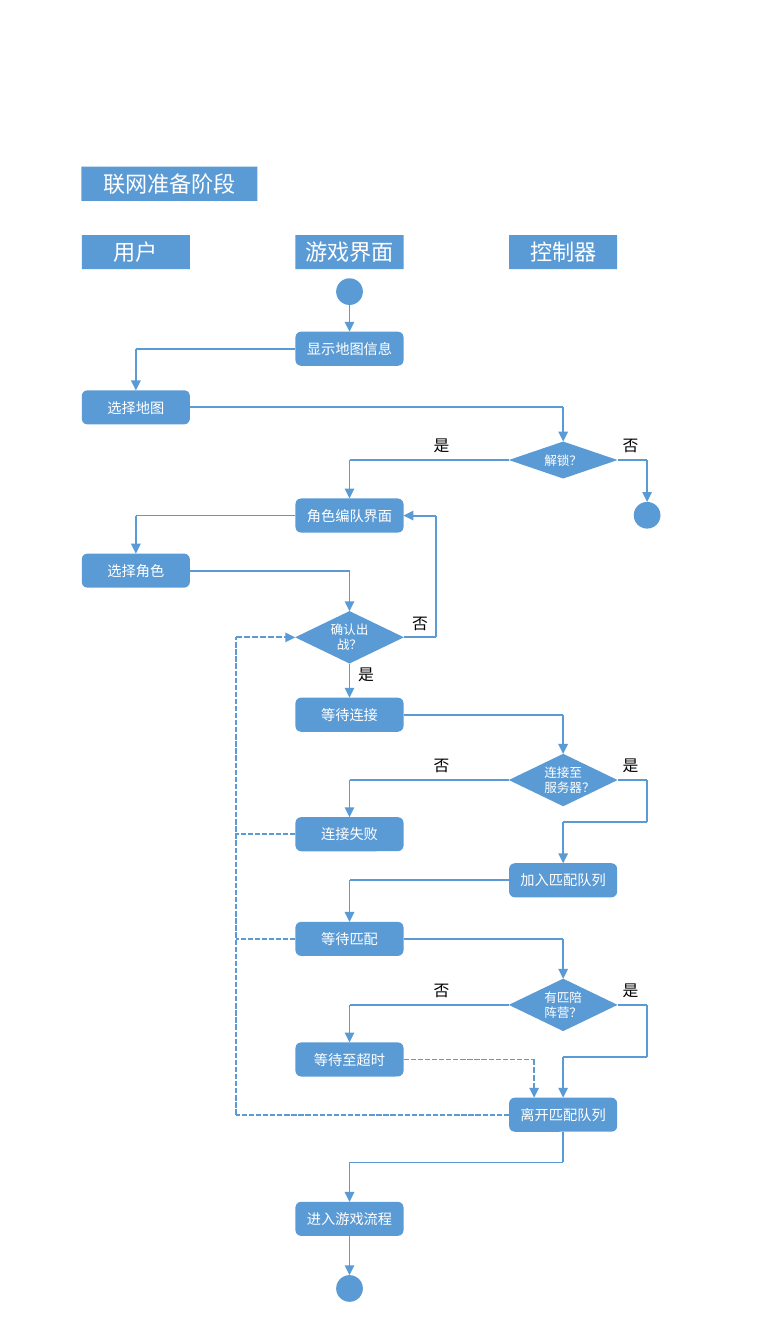
from typing import NamedTuple

from pptx import Presentation
from pptx.dml.color import RGBColor
from pptx.enum.dml import MSO_LINE
from pptx.enum.shapes import MSO_CONNECTOR, MSO_SHAPE
from pptx.enum.text import MSO_ANCHOR, MSO_AUTO_SIZE, PP_ALIGN
from pptx.oxml.ns import qn
from pptx.util import Cm, Pt

COLORS = {"blue": "5B9BD5", "white": "FFFFFF", "black": "000000"}
FONT = "Noto Sans CJK SC"
WIDTH = Pt(960)
HEIGHT = Cm(60)

# Columns and rows are percentages of the slide's width and height.
USER, SCREEN, CONTROLLER = 17.9, 46.05, 74.2
RETURN_COLUMN, LOOP_COLUMN, TIMEOUT_COLUMN, EXIT_COLUMN = 31.13, 57.43, 70.37, 85.26
BOX = (14.25, 2.54)
DOT = (3.53, 1.99)
DECISION_WIDTH, LOW_DECISION, TALL_DECISION = 14.33, 2.75, 3.9
LABEL_SIZE = (3.6, 1.86)
LABEL_RISE = 2

TOP, LEFT, BOTTOM, RIGHT = range(4)


class Port(NamedTuple):
    """The middle of one side of a shape."""
    shape: object
    side: int


def across(share):
    return round(WIDTH * share / 100)


def down(share):
    return round(HEIGHT * share / 100)


def color(name):
    return RGBColor.from_string(COLORS[name])


def write(text_frame, text, size, color_name, align):
    paragraph = text_frame.paragraphs[0]
    paragraph.alignment = align
    run = paragraph.add_run()
    run.text = text
    run.font.size = Pt(size)
    run.font.name = FONT
    run.font.color.rgb = color(color_name)
    properties = run.font._element
    east_asian = properties.makeelement(qn("a:ea"), {"typeface": FONT})
    properties.find(qn("a:latin")).addnext(east_asian)


def add_node(slide, kind, column, row, size, text="", font_size=18):
    """Add a blue shape centred on the given column and row."""
    width, height = size
    shape = slide.shapes.add_shape(
        kind, across(column - width / 2), down(row - height / 2),
        across(width), down(height))
    shape.shadow.inherit = False
    shape.fill.solid()
    shape.fill.fore_color.rgb = color("blue")
    shape.line.fill.background()
    if text:
        shape.text_frame.vertical_anchor = MSO_ANCHOR.MIDDLE
        write(shape.text_frame, text, font_size, "white", PP_ALIGN.CENTER)
    return shape


def add_step(slide, column, row, text):
    return add_node(slide, MSO_SHAPE.ROUNDED_RECTANGLE, column, row, BOX, text)


def add_decision(slide, column, row, text, height=TALL_DECISION):
    return add_node(slide, MSO_SHAPE.FLOWCHART_DECISION, column, row,
                    (DECISION_WIDTH, height), text, 16)


def add_dot(slide, column, row):
    return add_node(slide, MSO_SHAPE.OVAL, column, row, DOT)


def add_title(slide, text):
    title = slide.shapes.title
    title.left, title.top = across(10.73), down(12.4)
    title.width, title.height = across(23.18), down(BOX[1])
    title.fill.solid()
    title.fill.fore_color.rgb = color("blue")
    title.text_frame.auto_size = MSO_AUTO_SIZE.NONE
    title.text_frame.vertical_anchor = MSO_ANCHOR.MIDDLE
    write(title.text_frame, text, 28, "white", PP_ALIGN.CENTER)


def add_label(slide, column, row, text):
    width, height = LABEL_SIZE
    label = slide.shapes.add_textbox(across(column), down(row), across(width), down(height))
    label.text_frame.word_wrap = False
    label.text_frame.auto_size = MSO_AUTO_SIZE.SHAPE_TO_FIT_TEXT
    write(label.text_frame, text, 20, "black", PP_ALIGN.LEFT)


def locate(stop):
    """Return the position in EMU of a port or a (column, row) pair."""
    if not isinstance(stop, Port):
        return across(stop[0]), down(stop[1])
    shape, side = stop
    x = shape.left + {LEFT: 0, RIGHT: shape.width}.get(side, shape.width // 2)
    y = shape.top + {TOP: 0, BOTTOM: shape.height}.get(side, shape.height // 2)
    return x, y


def is_joinable(stop):
    return isinstance(stop, Port) and stop.shape.auto_shape_type != MSO_SHAPE.OVAL


def add_segment(slide, start, end, arrow, dashed):
    connector = slide.shapes.add_connector(
        MSO_CONNECTOR.STRAIGHT, *locate(start), *locate(end))
    if is_joinable(start):
        connector.begin_connect(*start)
    if is_joinable(end):
        connector.end_connect(*end)
    connector.line.color.rgb = color("blue")
    connector.line.width = Pt(2.5 if arrow else 2.25)
    if dashed:
        connector.line.dash_style = MSO_LINE.SQUARE_DOT
    if arrow:
        outline = connector.line._get_or_add_ln()
        outline.append(outline.makeelement(
            qn("a:tailEnd"), {"type": "triangle", "w": "lg", "len": "lg"}))
    properties = connector._element.spPr
    properties.append(properties.makeelement(qn("a:effectLst"), {}))


def add_route(slide, *stops, arrow=True, dashed=False):
    """Join the stops by straight segments, with an arrowhead on the last."""
    for index, (start, end) in enumerate(zip(stops, stops[1:]), 2):
        add_segment(slide, start, end, arrow and index == len(stops), dashed)


def add_elbow(slide, source, side, target, column):
    """Leave source sideways, turn at the column, and come down onto target."""
    row = locate(Port(source, side))[1] * 100 / HEIGHT
    add_route(slide, Port(source, side), (column, row), Port(target, TOP))


def main():
    presentation = Presentation()
    presentation.slide_width = WIDTH
    presentation.slide_height = HEIGHT
    slide = presentation.slides.add_slide(presentation.slide_layouts[5])

    add_title(slide, "联网准备阶段")
    for column, text in ((USER, "用户"), (SCREEN, "游戏界面"), (CONTROLLER, "控制器")):
        add_node(slide, MSO_SHAPE.RECTANGLE, column, 18.76, BOX, text, 28)

    start = add_dot(slide, SCREEN, 21.7)
    show_map = add_step(slide, SCREEN, 25.95, "显示地图信息")
    pick_map = add_step(slide, USER, 30.31, "选择地图")
    unlocked = add_decision(slide, CONTROLLER, 34.23, "解锁？", LOW_DECISION)
    locked_end = add_dot(slide, EXIT_COLUMN, 38.34)
    team = add_step(slide, SCREEN, 38.36, "角色编队界面")
    pick_role = add_step(slide, USER, 42.46, "选择角色")
    confirm = add_decision(slide, SCREEN, 47.42, "确认出战？")
    connecting = add_step(slide, SCREEN, 53.18, "等待连接")
    connected = add_decision(slide, CONTROLLER, 58.04, "连接至服务器？")
    failed = add_step(slide, SCREEN, 62.07, "连接失败")
    join_queue = add_step(slide, CONTROLLER, 65.5, "加入匹配队列")
    matching = add_step(slide, SCREEN, 69.86, "等待匹配")
    matched = add_decision(slide, CONTROLLER, 74.77, "有匹陪阵营？")
    timeout = add_step(slide, SCREEN, 78.83, "等待至超时")
    leave_queue = add_step(slide, CONTROLLER, 82.94, "离开匹配队列")
    enter_game = add_step(slide, SCREEN, 90.69, "进入游戏流程")
    end = add_dot(slide, SCREEN, 95.87)

    for source, target in ((start, show_map), (confirm, connecting), (enter_game, end)):
        add_route(slide, Port(source, BOTTOM), Port(target, TOP))
    for source, side, target, column in (
            (show_map, LEFT, pick_map, USER),
            (pick_map, RIGHT, unlocked, CONTROLLER),
            (unlocked, LEFT, team, SCREEN),
            (unlocked, RIGHT, locked_end, EXIT_COLUMN),
            (team, LEFT, pick_role, USER),
            (pick_role, RIGHT, confirm, SCREEN),
            (connecting, RIGHT, connected, CONTROLLER),
            (connected, LEFT, failed, SCREEN),
            (join_queue, LEFT, matching, SCREEN),
            (matching, RIGHT, matched, CONTROLLER),
            (matched, LEFT, timeout, SCREEN)):
        add_elbow(slide, source, side, target, column)

    add_route(slide, Port(confirm, RIGHT), (LOOP_COLUMN, 47.42),
              (LOOP_COLUMN, 38.36), Port(team, RIGHT))
    for source, row, turn, target in ((connected, 58.04, 61.18, join_queue),
                                      (matched, 74.77, 78.66, leave_queue)):
        add_route(slide, Port(source, RIGHT), (EXIT_COLUMN, row), (EXIT_COLUMN, turn),
                  (CONTROLLER, turn), Port(target, TOP))
    add_route(slide, Port(leave_queue, BOTTOM), (CONTROLLER, 86.49),
              (SCREEN, 86.49), Port(enter_game, TOP))

    add_route(slide, Port(timeout, RIGHT), (TIMEOUT_COLUMN, 78.83),
              (TIMEOUT_COLUMN, 81.67), dashed=True)
    add_route(slide, Port(leave_queue, LEFT), (RETURN_COLUMN, 82.94),
              (RETURN_COLUMN, 47.42), Port(confirm, LEFT), dashed=True)
    for source, row in ((failed, 62.07), (matching, 69.86)):
        add_route(slide, Port(source, LEFT), (RETURN_COLUMN, row), arrow=False, dashed=True)

    for row, left_text, right_text in ((34.23, "是", "否"), (58.04, "否", "是"),
                                       (74.77, "否", "是")):
        add_label(slide, 56.4, row - LABEL_RISE, left_text)
        add_label(slide, 81.3, row - LABEL_RISE, right_text)
    add_label(slide, 53.56, 47.42 - LABEL_RISE, "否")
    add_label(slide, 46.44, 49.28, "是")

    presentation.save("out.pptx")


if __name__ == "__main__":
    main()
